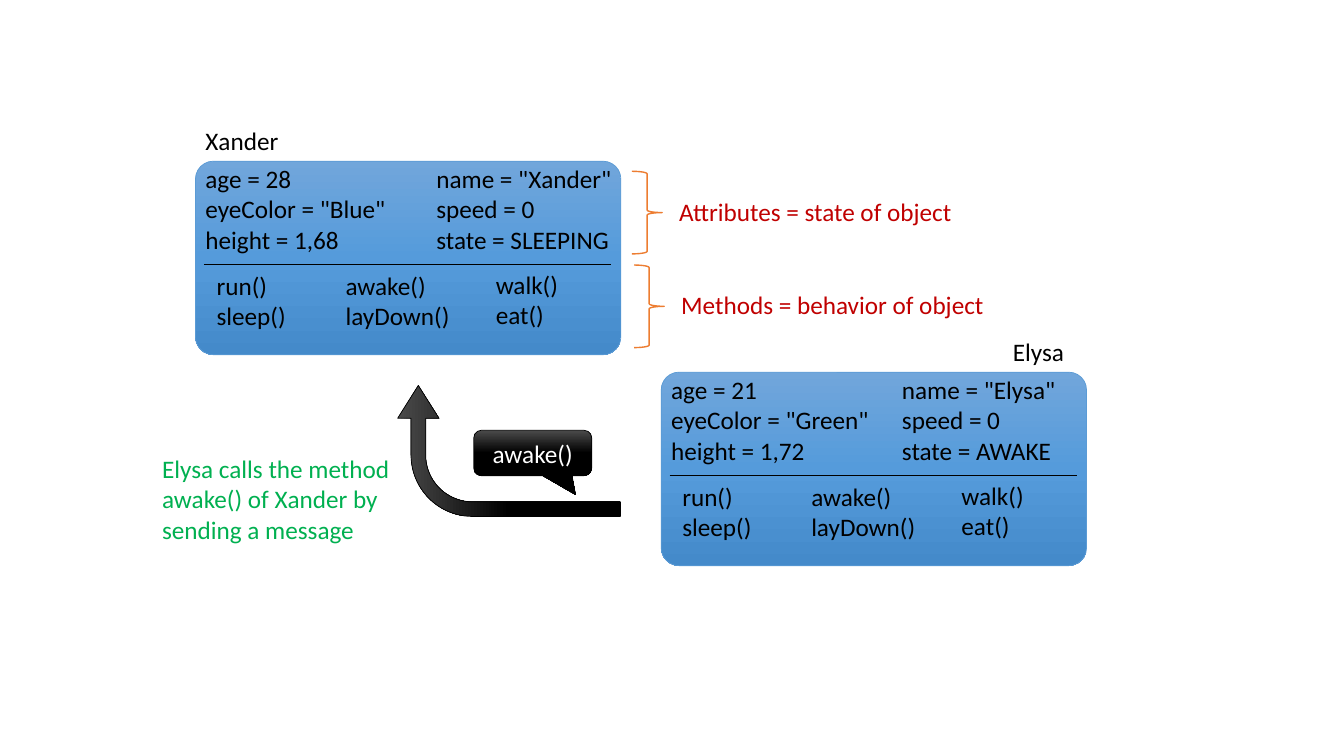
from copy import deepcopy
from typing import NamedTuple

from lxml import etree
from pptx import Presentation
from pptx.dml.color import RGBColor
from pptx.enum.shapes import MSO_CONNECTOR, MSO_SHAPE
from pptx.enum.text import MSO_ANCHOR, MSO_AUTO_SIZE, PP_ALIGN
from pptx.oxml.ns import qn
from pptx.util import Inches, Pt

ROUNDED = MSO_SHAPE.ROUNDED_RECTANGLE
CALLOUT = MSO_SHAPE.ROUNDED_RECTANGULAR_CALLOUT
BENT_ARROW = MSO_SHAPE.BENT_ARROW
BRACE = MSO_SHAPE.RIGHT_BRACE
STRAIGHT = MSO_CONNECTOR.STRAIGHT
LEFT, CENTER = PP_ALIGN.LEFT, PP_ALIGN.CENTER
TOP, MIDDLE = MSO_ANCHOR.TOP, MSO_ANCHOR.MIDDLE
GROW = MSO_AUTO_SIZE.SHAPE_TO_FIT_TEXT

BLACK = RGBColor(0x00, 0x00, 0x00)
WHITE = RGBColor(0xFF, 0xFF, 0xFF)
RED = RGBColor(0xC0, 0x00, 0x00)
GREEN = RGBColor(0x00, 0xB0, 0x50)
ORANGE = RGBColor(0xED, 0x7D, 0x31)
BLUE = RGBColor(0x5B, 0x9B, 0xD5)
BLUE_FADE = (RGBColor(0x71, 0xA6, 0xDB), RGBColor(0x55, 0x9B, 0xDB), RGBColor(0x44, 0x8A, 0xCA))
BLACK_FADE = (RGBColor(0x4B, 0x4B, 0x4B), BLACK, BLACK)

# The slide is a grid of square cells, 40 to its width; all boxes count cells.
SLIDE_WIDTH, SLIDE_HEIGHT = Inches(13.33), Inches(7.5)
CELL = SLIDE_WIDTH / 40
LINE_ROWS, MARGIN_ROWS = 0.91, 0.3
METHODS = (("run()", "sleep()"), ("awake()", "layDown()"), ("walk()", "eat()"))


class Box(NamedTuple):
    """A rectangle counted in grid cells."""
    left: float
    top: float
    width: float
    height: float

    def place(self, left, top, width, height):
        """Return a box placed from this box's top left corner."""
        return Box(self.left + left, self.top + top, width, height)

    def lengths(self):
        """Return the four lengths of the box in slide units."""
        return [round(cells * CELL) for cells in self]


def write_text(frame, text, color=BLACK, align=LEFT, anchor=TOP, wrap=True):
    """Fill a text frame, one paragraph for each line of text."""
    frame.word_wrap = wrap
    frame.vertical_anchor = anchor
    frame.text = text
    for paragraph in frame.paragraphs:
        paragraph.alignment = align
        font = paragraph.runs[0].font
        font.name, font.size, font.color.rgb = "Calibri", Pt(18), color


def add_label(slide, box, text, **text_format):
    """Add a text box that grows with its text."""
    frame = slide.shapes.add_textbox(*box.lengths()).text_frame
    write_text(frame, text, **text_format)
    frame.auto_size = GROW


def add_lines(slide, area, left, top, width, lines, **text_format):
    """Add unwrapped lines of text, with a height that follows their count."""
    height = len(lines) * LINE_ROWS + MARGIN_ROWS
    add_label(slide, area.place(left, top, width, height), "\n".join(lines),
              wrap=False, **text_format)


def add_figure(slide, kind, box, line, weight=0.5, fade=None, adjustments=()):
    """Add a preset shape, with a three-colour downward gradient if given."""
    shape = slide.shapes.add_shape(kind, *box.lengths())
    shape.shadow.inherit = False
    shape.line.color.rgb, shape.line.width = line, Pt(weight)
    for index, value in enumerate(adjustments):
        shape.adjustments[index] = value
    if not fade:
        shape.fill.background()
        return shape
    shape.fill.gradient()
    shape.fill.gradient_angle = 270
    stop_list = shape._element.spPr.find(".//" + qn("a:gsLst"))
    stop_list.insert(1, deepcopy(stop_list[0]))
    for index, (stop, color) in enumerate(zip(shape.fill.gradient_stops, fade)):
        stop.position, stop.color.rgb = index / 2, color
    return shape


def add_object_card(slide, area, name, name_place, attributes):
    """Draw one object: its name, its attributes and its methods."""
    add_figure(slide, ROUNDED, area, BLUE, fade=BLUE_FADE, adjustments=[0.092])
    add_lines(slide, area, name_place[0], -1.23, name_place[1], [name])
    for left, (width, lines) in zip((0, 6.87), attributes):
        add_lines(slide, area, left, -0.08, width, lines)
    for left, top, width, lines in zip((0.33, 4.17, 8.64), (3.1, 3.1, 3.07),
                                       (2.7, 3.75, 2.49), METHODS):
        add_lines(slide, area, left, top, width, lines)
    left, top, width, _ = area.place(0.25, 3.06, 12.12, 0).lengths()
    divider = slide.shapes.add_connector(STRAIGHT, left, top, left + width, top)
    divider.line.color.rgb, divider.line.width = BLACK, Pt(0.5)
    etree.SubElement(divider._element.spPr, qn("a:effectLst"))


def add_braced_label(slide, area, text, width):
    """Draw a brace that fills the area, with its red label on the right."""
    add_figure(slide, BRACE, area, ORANGE, weight=1)
    add_lines(slide, area, 1.11, 0.59, width, [text], color=RED)


def add_message(slide, area):
    """Draw the message arrow, its callout and the note beside it."""
    arrow = add_figure(slide, BENT_ARROW, area.place(8.67, 0, 3.9, 6.63), BLACK,
                       fade=BLACK_FADE, adjustments=[0.112, 0.158, 0.25, 0.47])
    arrow.rotation = 270
    callout = add_figure(slide, CALLOUT, area.place(9.57, 2.7, 3.51, 1.35), BLACK,
                         fade=BLACK_FADE, adjustments=[0.363, 0.919, 0.167])
    write_text(callout.text_frame, "awake()", color=WHITE, align=CENTER, anchor=MIDDLE)
    add_label(slide, area.place(0, 3.24, 9.42, 3.03),
              "Elysa calls the method awake() of Xander by sending a message",
              color=GREEN)


def main():
    """Build the slide and save it."""
    presentation = Presentation()
    presentation.slide_width, presentation.slide_height = SLIDE_WIDTH, SLIDE_HEIGHT
    slide = presentation.slides.add_slide(presentation.slide_layouts[6])
    add_object_card(slide, Box(5.82, 4.8, 12.66, 5.76), "Xander", (0, 2.79), (
        (6.03, ("age = 28", 'eyeColor = "Blue"', "height = 1,68")),
        (5.88, ('name = "Xander"', "speed = 0", "state = SLEEPING"))))
    add_object_card(slide, Box(19.68, 11.08, 12.66, 5.76), "Elysa", (10.17, 2.13), (
        (6.57, ("age = 21", 'eyeColor = "Green"', "height = 1,72")),
        (5.22, ('name = "Elysa"', "speed = 0", "state = AWAKE"))))
    add_message(slide, Box(4.53, 10.11, 13.95, 6.63))
    add_braced_label(slide, Box(18.81, 5.1, 0.9, 2.46), "Attributes = state of object", 8.82)
    add_braced_label(slide, Box(18.87, 7.89, 0.9, 2.46), "Methods = behavior of object", 9.72)
    presentation.save("out.pptx")


main()
